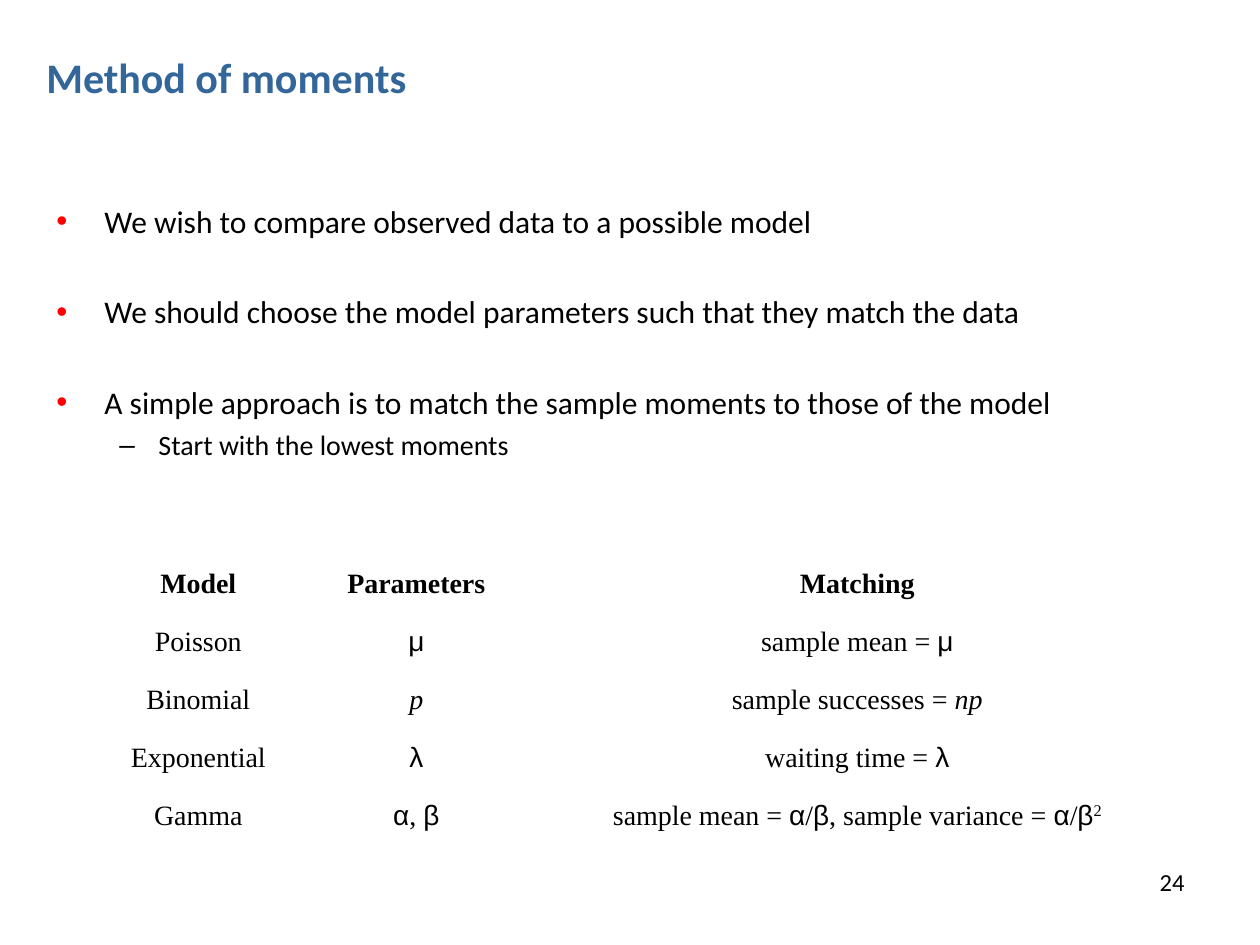
from pptx import Presentation
from pptx.dml.color import RGBColor
from pptx.enum.text import MSO_ANCHOR, PP_ALIGN
from pptx.oxml.ns import qn
from pptx.util import Pt
from lxml import etree

BLUE = RGBColor(0x33, 0x66, 0x99)
RED = RGBColor(0xFF, 0x00, 0x00)
BLACK = RGBColor(0x00, 0x00, 0x00)
SANS, SERIF, GREEK = "Calibri", "Times New Roman", "Arial"
CENTER, RIGHT = PP_ALIGN.CENTER, PP_ALIGN.RIGHT
MIDDLE, TOP = MSO_ANCHOR.MIDDLE, MSO_ANCHOR.TOP

MAIN = {"size": 18, "mark": "•", "tint": RED, "left": 27.4, "hang": 27.4}
SUB = {"size": 16, "mark": "–", "tint": BLACK, "left": 58.3, "hang": 22.3}
POINTS = [
    ("We wish to compare observed data to a possible model", MAIN, 4.5),
    ("We should choose the model parameters such that they match the data", MAIN, 30.3),
    ("A simple approach is to match the sample moments to those of the model", MAIN, 30.3),
    ("Start with the lowest moments", SUB, 4),
]
WIDTHS = [130.3, 118.8, 385.2]
ROWS = [
    ("Model", "Parameters", "Matching"),
    ("Poisson", "μ", "sample mean = |μ"),
    ("Binomial", "p", "sample successes = |np"),
    ("Exponential", "λ", "waiting time = |λ"),
    ("Gamma", "α|, |β", "sample mean = |α|/|β|, sample variance = |α|/|β|2"),
]


def add_run(para, text, size, font=SANS, color=BLACK, bold=False):
    """Add one styled run and return it."""
    run = para.add_run()
    run.text = text
    run.font.size = Pt(size)
    run.font.name = font
    run.font.color.rgb = color
    run.font.bold = bold
    return run


def add_box(slide, box, anchor=TOP):
    """Add a wrapping text box and return its frame."""
    frame = slide.shapes.add_textbox(*map(Pt, box)).text_frame
    frame.word_wrap = True
    frame.vertical_anchor = anchor
    return frame


def set_mark(para, style):
    """Give a paragraph its hanging indent and coloured bullet."""
    props = para._p.get_or_add_pPr()
    props.set("marL", str(Pt(style["left"])))
    props.set("indent", str(-Pt(style["hang"])))
    tint = etree.SubElement(props, qn("a:buClr"))
    etree.SubElement(tint, qn("a:srgbClr"), val=str(style["tint"]))
    etree.SubElement(props, qn("a:buFont"), typeface=GREEK)
    etree.SubElement(props, qn("a:buChar"), char=style["mark"])


def add_title(slide, box):
    """Place the slide heading."""
    para = add_box(slide, box, MIDDLE).paragraphs[0]
    add_run(para, "Method of moments", 24, color=BLUE, bold=True)


def add_points(slide, box):
    """Place the bulleted points."""
    frame = add_box(slide, box)
    for i, (text, style, gap) in enumerate(POINTS):
        para = frame.add_paragraph() if i else frame.paragraphs[0]
        para.level = int(style is SUB)
        para.space_before = Pt(gap)
        set_mark(para, style)
        add_run(para, text, style["size"])


def fill_cell(cell, text, bold):
    """Write a cell, setting Greek, italic and raised parts by rule."""
    cell.fill.background()
    para = cell.text_frame.paragraphs[0]
    para.alignment = CENTER
    para.space_before = Pt(4)
    for part in text.split("|"):
        font = GREEK if part in "αβλμ" else SERIF
        run = add_run(para, part, 16, font, bold=bold)
        if part in ("p", "np"):
            run.font.italic = True
        if part == "2":
            run.font._element.set("baseline", "30000")


def add_models(slide, box):
    """Place the table of models and the moments they match."""
    shape = slide.shapes.add_table(len(ROWS), len(WIDTHS), *map(Pt, box))
    table = shape.table
    table.first_row = table.horz_banding = False
    for col, width in zip(table.columns, WIDTHS):
        col.width = Pt(width)
    for r, row in enumerate(ROWS):
        for c, text in enumerate(row):
            fill_cell(table.cell(r, c), text, bold=r == 0)


def add_number(slide, box):
    """Place the page number."""
    para = add_box(slide, box).paragraphs[0]
    para.alignment = RIGHT
    add_run(para, "24", 14)


def main():
    """Build and save the slide."""
    deck = Presentation()
    deck.slide_width, deck.slide_height = Pt(720), Pt(540)
    slide = deck.slides.add_slide(deck.slide_layouts[6])
    add_number(slide, (516.2, 491.8, 167.8, 37.4))
    add_title(slide, (19.4, 21.6, 648, 44))
    add_points(slide, (25.2, 111.6, 648, 356.4))
    add_models(slide, (48.2, 321.1, sum(WIDTHS), 165.6))
    deck.save("out.pptx")


if __name__ == "__main__":
    main()
